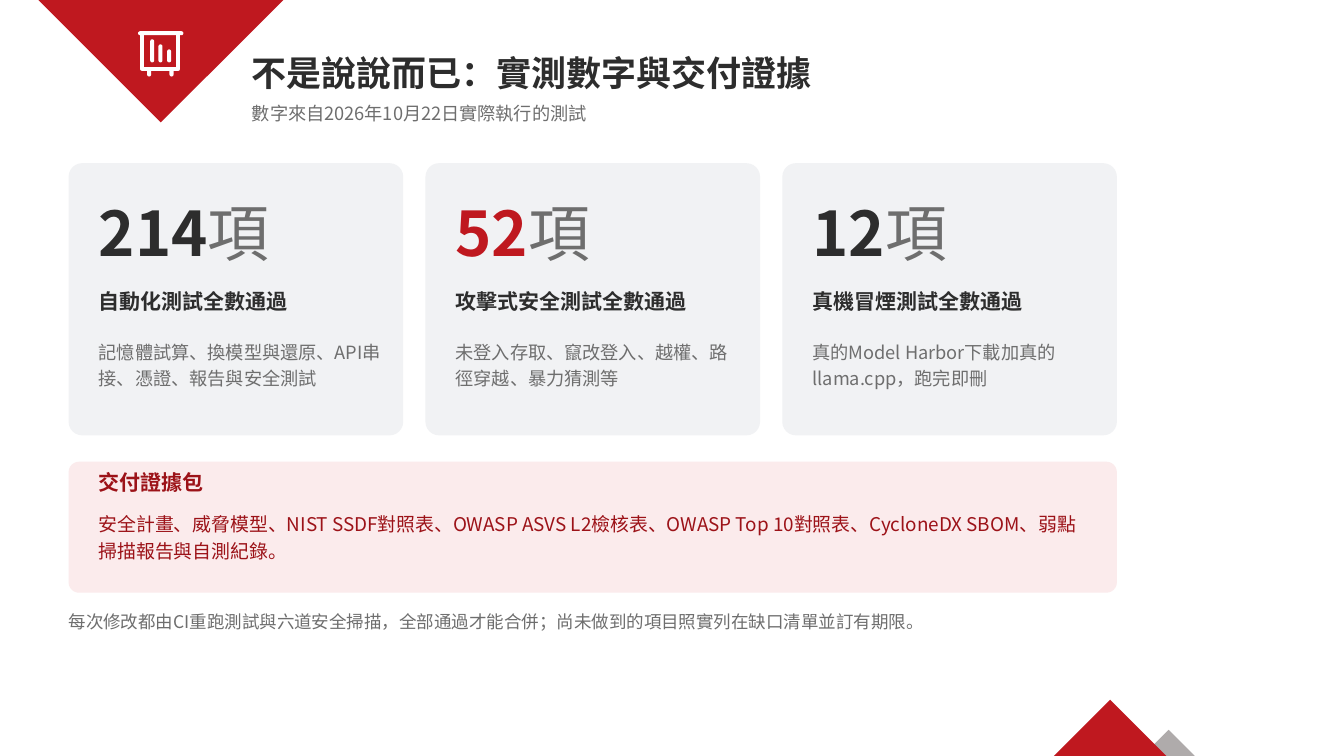
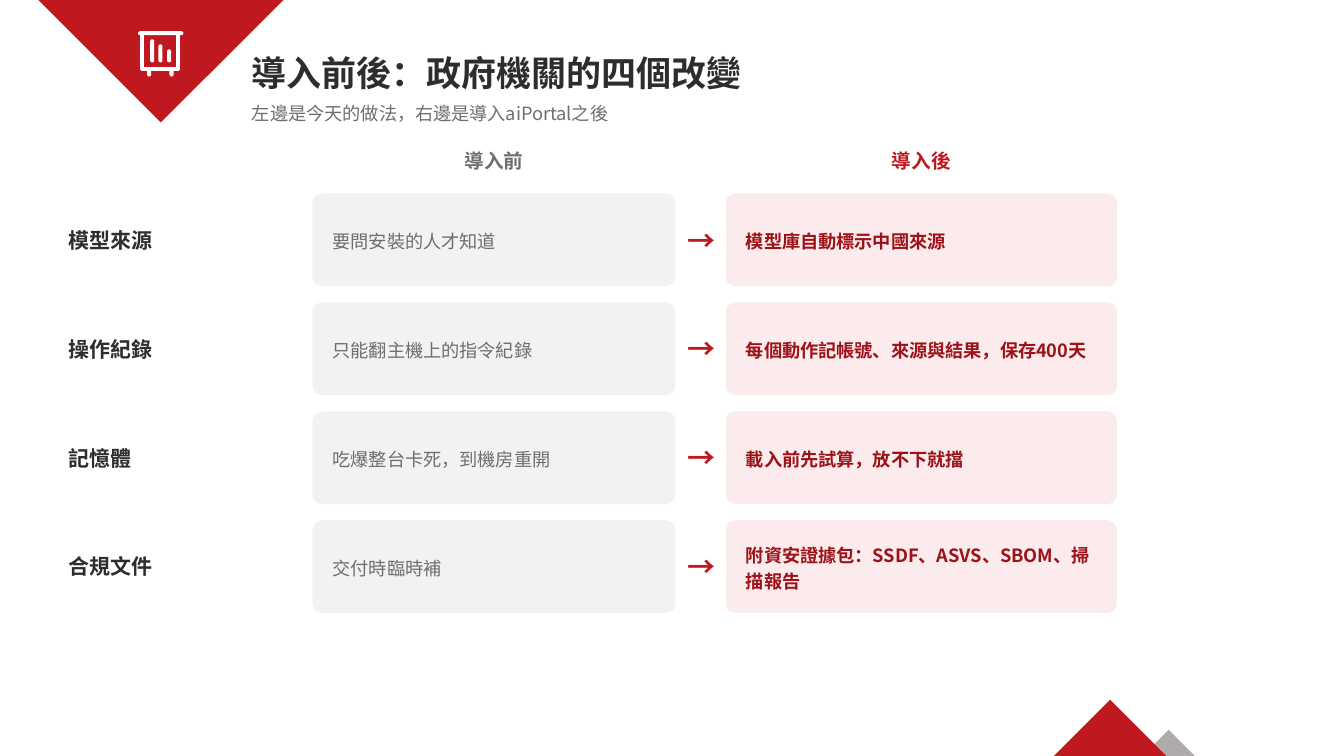
from pptx import Presentation
from pptx.dml.color import RGBColor
from pptx.enum.shapes import MSO_SHAPE as Preset
from pptx.enum.text import MSO_ANCHOR as Anchor, PP_ALIGN as Align
from pptx.oxml.ns import qn
from pptx.util import Pt
from lxml.etree import SubElement

RED = RGBColor(0xBF, 0x18, 0x1F)
DARK_RED = RGBColor(0x9C, 0x12, 0x18)
PINK = RGBColor(0xFB, 0xEB, 0xEC)
INK = RGBColor(0x2D, 0x2D, 0x2D)
GRAY = RGBColor(0x6E, 0x6E, 0x6E)
PALE = RGBColor(0xF1, 0xF2, 0xF4)
SILVER = RGBColor(0xAF, 0xAB, 0xAB)
WHITE = RGBColor(0xFF, 0xFF, 0xFF)
FONT = "Noto Sans CJK TC"
WIDTH, HEIGHT = 960, 540
LEFT, CONTENT_WIDTH = 49, 748.8


class Builder:
    """Holds the deck style and the slide being drawn."""

    def __init__(self):
        self.deck = Presentation()
        self.deck.slide_width, self.deck.slide_height = Pt(WIDTH), Pt(HEIGHT)
        self.page = None

    def shape(self, preset, left, top, width, height, fill, radius=None):
        shape = self.page.shapes.add_shape(preset, Pt(left), Pt(top), Pt(width), Pt(height))
        shape.shadow.inherit = False
        shape.fill.solid()
        shape.fill.fore_color.rgb = fill
        shape.line.fill.background()
        if radius is not None:
            shape.adjustments[0] = radius
        return shape

    def panel(self, left, top, width, height, fill, radius):
        return self.shape(Preset.ROUNDED_RECTANGLE, left, top, width, height, fill, radius)

    def triangle(self, left, top, width, height, fill):
        return self.shape(Preset.ISOSCELES_TRIANGLE, left, top, width, height, fill)

    def text(self, left, top, width, height, spans, size, color=INK, bold=False,
             anchor=Anchor.TOP, align=Align.LEFT, spacing=None):
        box = self.page.shapes.add_textbox(Pt(left), Pt(top), Pt(width), Pt(height))
        frame = box.text_frame
        frame.word_wrap = True
        frame.vertical_anchor = anchor
        frame.margin_left = frame.margin_right = frame.margin_top = frame.margin_bottom = 0
        para = frame.paragraphs[0]
        para.alignment = align
        if spacing:
            para.line_spacing = spacing
        if isinstance(spans, str):
            spans = [(spans, color, bold)]
        for words, span_color, span_bold in spans:
            span = para.add_run()
            span.text = words
            span.font.size = Pt(size)
            span.font.bold = span_bold
            span.font.color.rgb = span_color
            span.font.name = FONT
            SubElement(span.font._element, qn("a:ea")).set("typeface", FONT)

    def icon(self):
        board = self.shape(Preset.RECTANGLE, 101.5, 23.8, 26, 25.2, RED)
        board.line.color.rgb = WHITE
        board.line.width = Pt(2.9)
        self.panel(98.6, 22.3, 32.4, 2.9, WHITE, 0.5)
        bars = [(107.3, 28.1, 44.6), (113.2, 31.7, 44.6), (119.4, 35.3, 44.6),
                (105.1, 48, 54.7), (121.1, 48, 54.7)]
        for left, top, bottom in bars:
            self.panel(left, top, 2.9, bottom - top, WHITE, 0.5)

    def start(self, title, subtitle):
        self.page = self.deck.slides.add_slide(self.deck.slide_layouts[6])
        self.triangle(816, 521.3, 37.4, 18.7, SILVER)
        self.triangle(27.4, 0, 175, 87.4, RED).rotation = 180
        self.triangle(752.8, 499.8, 80.4, 40.2, RED)
        self.icon()
        self.text(180, 30.2, 734.4, 43.2, title, 25, bold=True, anchor=Anchor.MIDDLE)
        self.text(180, 73.4, 734.4, 23, subtitle, 13, GRAY)

    def card(self, left, number, color, heading, detail):
        self.panel(left, 116.6, 239, 194.4, PALE, 0.05)
        inner, width = left + 21.6, 201.6
        self.text(inner, 129.6, width, 72, [(number, color, True), ("項", GRAY, False)],
                  44, anchor=Anchor.MIDDLE)
        self.text(inner, 205.9, width, 28.8, heading, 15, bold=True)
        self.text(inner, 240.5, width, 64.8, detail, 13, GRAY, spacing=1.2)

    def cell(self, left, top, width, height, words, fill, color, bold):
        self.panel(left, top, width, height, fill, 0.1)
        self.text(left + 14.4, top, width - 28.8, height, words, 13, color, bold,
                  Anchor.MIDDLE, spacing=1.15)


def evidence_slide(builder):
    builder.start("不是說說而已：實測數字與交付證據", "數字來自2026年10月22日實際執行的測試")
    cards = [
        ("214", INK, "自動化測試全數通過", "記憶體試算、換模型與還原、API串接、憑證、報告與安全測試"),
        ("52", RED, "攻擊式安全測試全數通過", "未登入存取、竄改登入、越權、路徑穿越、暴力猜測等"),
        ("12", INK, "真機冒煙測試全數通過", "真的Model Harbor下載加真的llama.cpp，跑完即刪"),
    ]
    for index, card in enumerate(cards):
        builder.card(LEFT + index * 254.9, *card)
    builder.panel(LEFT, 329.8, CONTENT_WIDTH, 93.6, PINK, 0.08)
    builder.text(LEFT + 21.6, 335.5, 705.6, 25.9, "交付證據包", 15, DARK_RED, True)
    builder.text(LEFT + 21.6, 362.9, 705.6, 56.2,
                 "安全計畫、威脅模型、NIST SSDF對照表、OWASP ASVS L2檢核表、"
                 "OWASP Top 10對照表、CycloneDX SBOM、弱點掃描報告與自測紀錄。",
                 13.5, DARK_RED, spacing=1.2)
    builder.text(LEFT, 436.3, CONTENT_WIDTH, 39.6,
                 "每次修改都由CI重跑測試與六道安全掃描，全部通過才能合併；"
                 "尚未做到的項目照實列在缺口清單並訂有期限。", 12.5, GRAY)


def comparison_slide(builder):
    builder.start("導入前後：政府機關的四個改變", "左邊是今天的做法，右邊是導入aiPortal之後")
    before_left, before_width = 223.2, 259.2
    after_left, after_width = 518.4, 279.4
    height, pitch = 66.2, 77.8
    builder.text(before_left, 106.6, before_width, 25.9, "導入前", 14, GRAY, True,
                 align=Align.CENTER)
    builder.text(after_left, 106.6, after_width, 25.9, "導入後", 14, RED, True,
                 align=Align.CENTER)
    changes = [
        ("模型來源", "要問安裝的人才知道", "模型庫自動標示中國來源"),
        ("操作紀錄", "只能翻主機上的指令紀錄", "每個動作記帳號、來源與結果，保存400天"),
        ("記憶體", "吃爆整台卡死，到機房重開", "載入前先試算，放不下就擋"),
        ("合規文件", "交付時臨時補", "附資安證據包：SSDF、ASVS、SBOM、掃描報告"),
    ]
    for index, (topic, before, after) in enumerate(changes):
        top = 138.2 + index * pitch
        builder.text(LEFT, top, 165.6, height, topic, 15, bold=True, anchor=Anchor.MIDDLE)
        builder.cell(before_left, top, before_width, height, before, PALE, GRAY, False)
        builder.text(486.7, top, 28.8, height, "→", 20, RED, True,
                     Anchor.MIDDLE, Align.CENTER)
        builder.cell(after_left, top, after_width, height, after, PINK, DARK_RED, True)


def main():
    builder = Builder()
    evidence_slide(builder)
    comparison_slide(builder)
    builder.deck.save("out.pptx")


if __name__ == "__main__":
    main()
